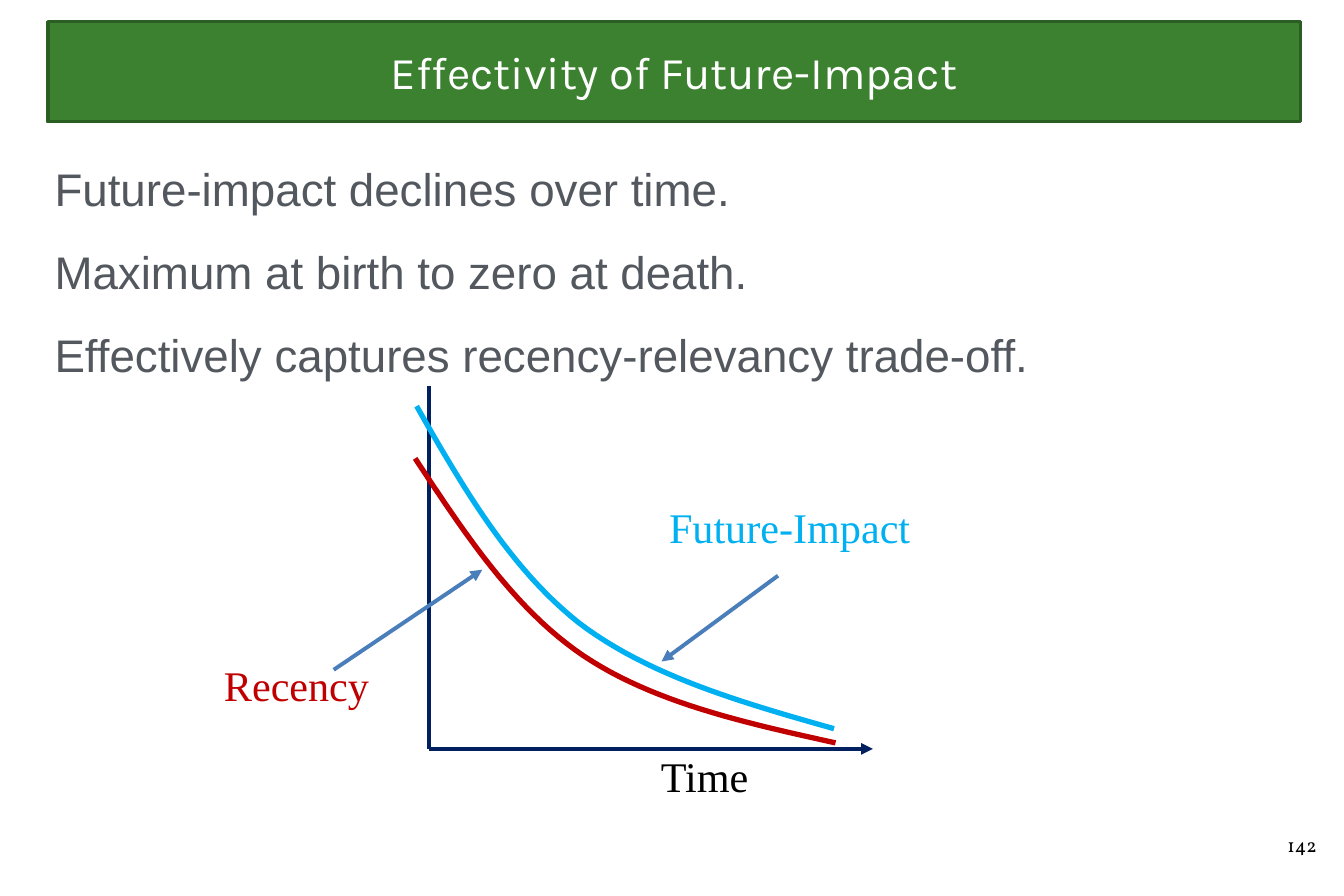
from dataclasses import dataclass

from lxml import etree
from pptx import Presentation
from pptx import util as u
from pptx.dml.color import RGBColor
from pptx.enum import shapes, text
from pptx.oxml.ns import qn


@dataclass
class Theme:
    green: str = "3B812F"
    edge: str = "2B5E22"
    white: str = "FFFFFF"
    grey: str = "53585F"
    navy: str = "002060"
    sky: str = "00B0F0"
    red: str = "C00000"
    blue: str = "4A7EBB"
    black: str = "000000"
    head: float = 25.8
    body: float = 26
    label: float = 24
    page: float = 11
    serif: str = "Times New Roman"


look = Theme()
COLS, ROWS = 18, 12
cell = u.Inches(0.59)


def grid(*sizes):
    """Turn counts of grid cells into slide lengths."""
    return [u.Emu(round(n * cell)) for n in sizes]


def write(shape, words, font, size, color, align=text.PP_ALIGN.LEFT,
          anchor=text.MSO_ANCHOR.TOP, inset=0.1, top=None, gap=0, wrap=True):
    """Fill a shape with one unbulleted paragraph for each line of words."""
    frame = shape.text_frame
    frame.text = words
    frame.word_wrap = wrap
    frame.auto_size = text.MSO_AUTO_SIZE.NONE
    frame.vertical_anchor = anchor
    side, high = grid(inset, inset if top is None else top)
    frame.margin_left = frame.margin_right = frame.margin_bottom = side
    frame.margin_top = high
    for i, para in enumerate(frame.paragraphs):
        props = para._p.get_or_add_pPr()
        props.set("marL", "0")
        props.set("indent", "0")
        etree.SubElement(props, qn("a:buNone"))
        para.alignment = align
        para.space_before = u.Pt(gap if i else 0)
        para.font.name = font
        para.font.size = u.Pt(size)
        para.font.color.rgb = RGBColor.from_string(color)


deck = Presentation()
deck.slide_width, deck.slide_height = grid(COLS, ROWS)
slide = deck.slides.add_slide(deck.slide_layouts[1])
items = slide.shapes

# Title and list
title, body = slide.placeholders
title.left, title.top, title.width, title.height = grid(0.64, 0.29, 16.78, 1.34)
title.fill.solid()
title.fill.fore_color.rgb = RGBColor.from_string(look.green)
title.line.color.rgb = RGBColor.from_string(look.edge)
title.line.width = u.Pt(2)
write(title, "Effectivity of Future-Impact", "Karla", look.head, look.white,
      align=text.PP_ALIGN.CENTER, anchor=text.MSO_ANCHOR.MIDDLE, inset=0.12)

body.left, body.top, body.width, body.height = grid(0.61, 1.97, 16.78, 8.69)
points = [
    "Future-impact declines over time.",
    "Maximum at birth to zero at death.",
    "Effectively captures recency-relevancy trade-off.",
]
write(body, "\n".join(points), "Arial", look.body, look.grey,
      inset=0.12, top=0.19, gap=16)

# Axes and pointers: start, end, colour, arrowhead
base = (5.75, 10.03)
lines = [
    ((base[0], 5.17), base, look.navy, False),
    (base, (11.69, base[1]), look.navy, True),
    ((10.42, 7.71), (8.86, 8.86), look.blue, True),
    ((4.47, 8.97), (6.46, 7.63), look.blue, True),
]
for start, end, color, arrow in lines:
    line = items.add_connector(shapes.MSO_CONNECTOR.STRAIGHT, *grid(*start, *end))
    line.line.color.rgb = RGBColor.from_string(color)
    line.line.width = u.Pt(2.25)
    if arrow:
        etree.SubElement(line.line._get_or_add_ln(), qn("a:tailEnd"), type="triangle")
    etree.SubElement(line._element.spPr, qn("a:effectLst"))

# Falling curves: each has two cubic spans that share the middle point
curves = [
    (look.sky, [(5.58, 5.44), (6.2, 6.53), (6.83, 7.61), (7.75, 8.34),
                (8.68, 9.05), (9.93, 9.41), (11.17, 9.76)]),
    (look.red, [(5.56, 6.14), (6.22, 7.14), (6.88, 8.15), (7.81, 8.78),
                (8.75, 9.41), (9.97, 9.68), (11.19, 9.95)]),
]
STEPS = 24
for color, knots in curves:
    dots = []
    for first in (0, 3):
        span = knots[first:first + 4]
        for step in range(1, STEPS + 1):
            t = step / STEPS
            mix = [(1 - t) ** 3, 3 * t * (1 - t) ** 2, 3 * t * t * (1 - t), t ** 3]
            dots.append(grid(*(sum(m * k for m, k in zip(mix, axis))
                               for axis in zip(*span))))
    pen = items.build_freeform(*grid(*knots[0]))
    pen.add_line_segments(dots, close=False)
    curve = pen.convert_to_shape()
    curve.shadow.inherit = False
    curve.fill.background()
    curve.line.color.rgb = RGBColor.from_string(color)
    curve.line.width = u.Pt(3)

# Labels
labels = [
    ("Time", (8.75, 9.95, 1.39, 0.88), look.black, False),
    ("Future-Impact", (8.86, 6.61, 3.97, 0.88), look.sky, True),
    ("Recency", (2.9, 8.73, 2.56, 0.88), look.red, True),
]
for words, place, color, wrap in labels:
    write(items.add_textbox(*grid(*place)), words, look.serif, look.label, color,
          wrap=wrap)

page = items.add_textbox(*grid(17.1, 10.97, 0.68, 0.69))
write(page, "142", "Vollkorn", look.page, look.black,
      align=text.PP_ALIGN.CENTER, inset=0.19, wrap=False)

deck.save("out.pptx")
